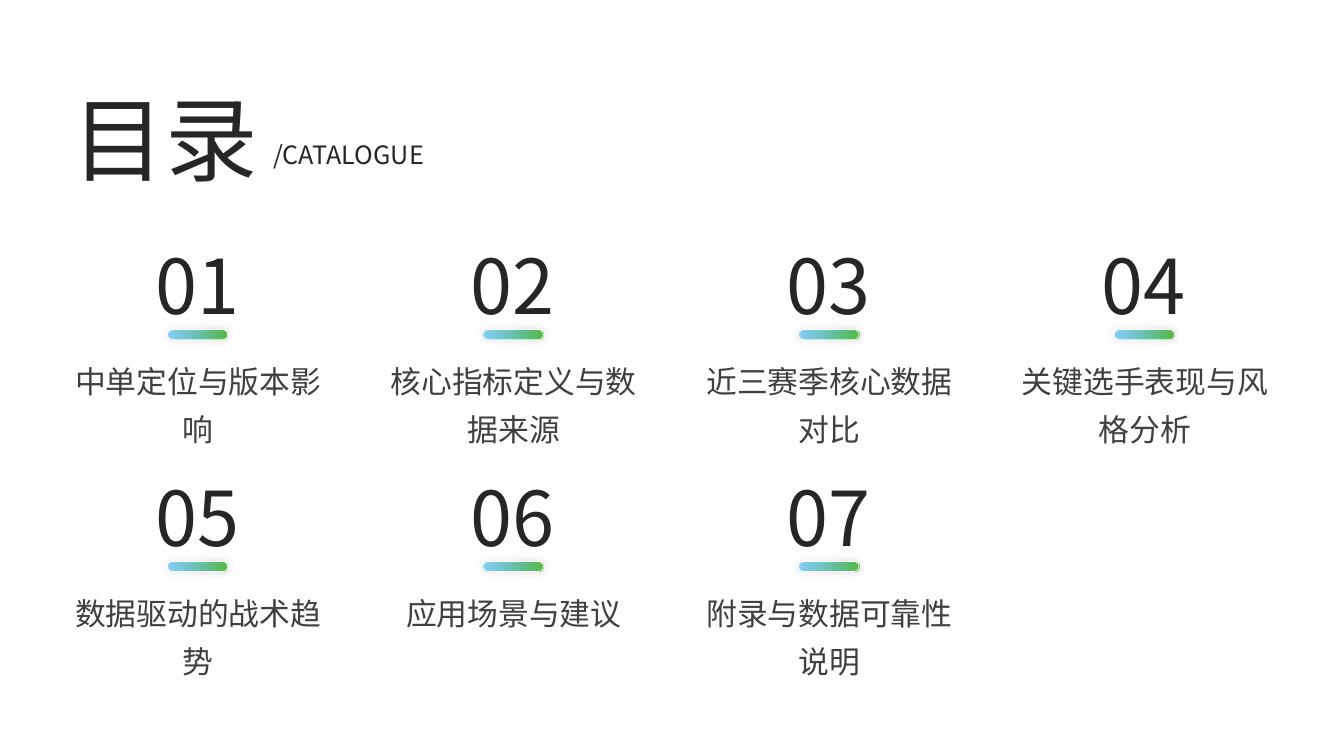
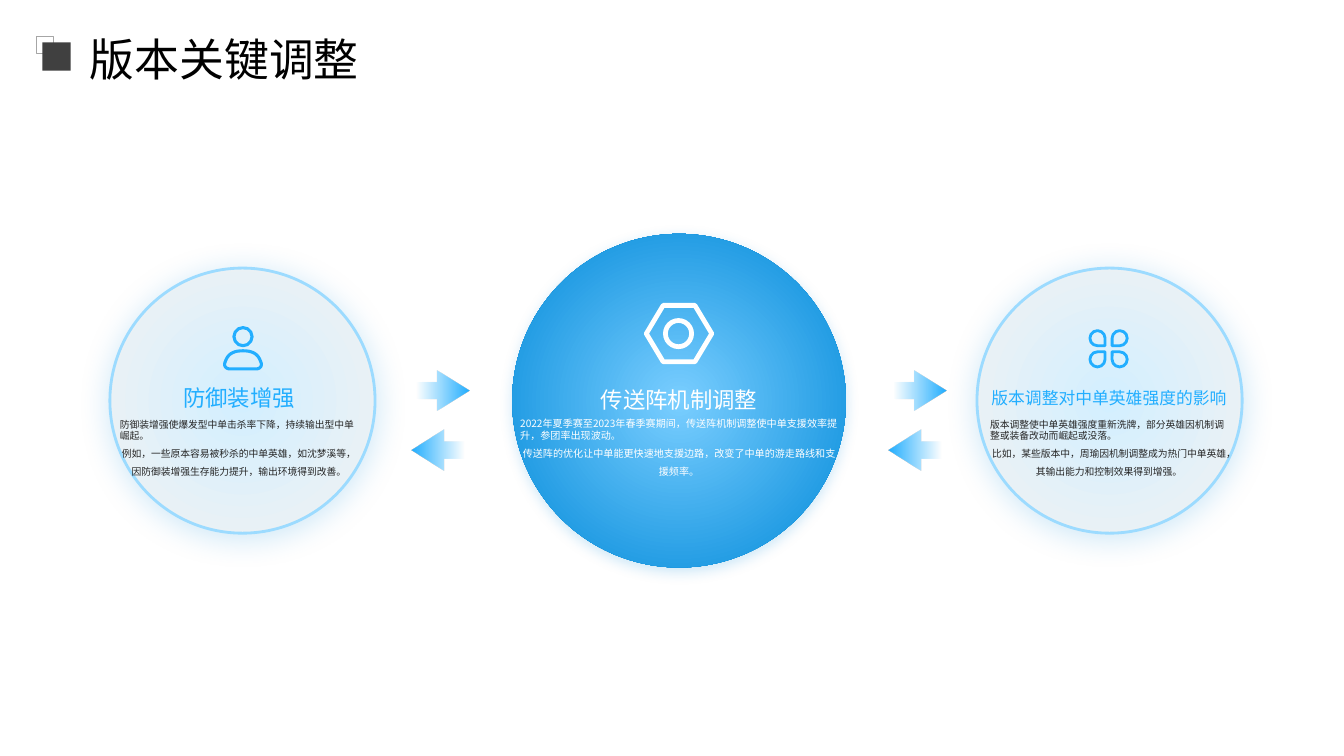
"""Build a contents slide and a slide on the key version changes."""
from dataclasses import dataclass
from typing import Any, Optional

from pptx import Presentation
from pptx import oxml
from pptx import util as u
from pptx.dml.color import RGBColor
from pptx.enum import shapes, text
from pptx.oxml import ns

FONT = "Noto Sans CJK SC"
COLORS = {
    "ink": "262626", "gray": "404040", "frame": "A6A6A6", "black": "000000",
    "white": "FFFFFF", "blue": "22AEFF", "green": "4EB830", "sky": "7ACEFF",
    "deep": "0089D9", "pale": "D3EFFF", "mist": "F2F2F2", "ring": "9CDBFF",
}
LEFT, CENTER = text.PP_ALIGN.LEFT, text.PP_ALIGN.CENTER
TOP, MIDDLE = text.MSO_ANCHOR.TOP, text.MSO_ANCHOR.MIDDLE
KIND = shapes.MSO_SHAPE


@dataclass(frozen=True)
class Box:
    left: float
    top: float
    width: float
    height: float

    def lengths(self) -> list[int]:
        return [u.Inches(v) for v in (self.left, self.top, self.width, self.height)]


@dataclass(frozen=True)
class Line:
    content: str
    size: float
    color: str
    align: Any = LEFT
    spacing: float = 1.0


@dataclass(frozen=True)
class Stop:
    position: int
    color: str
    alpha: int = 100


@dataclass(frozen=True)
class Shadow:
    color: str
    alpha: int
    blur: float
    distance: float = 0
    angle: int = 0


@dataclass(frozen=True)
class Circle:
    box: Box
    stops: tuple[Stop, ...]
    shadow: Shadow
    ring: Optional[str]
    heading_box: Box
    heading: Line
    body_box: Box
    body: tuple[str, str]
    body_size: float
    body_color: str


CATALOGUE = [
    "中单定位与版本影响", "核心指标定义与数据来源", "近三赛季核心数据对比",
    "关键选手表现与风格分析", "数据驱动的战术趋势", "应用场景与建议", "附录与数据可靠性说明",
]
COLUMNS, COLUMN_STEP, ROW_STEP = 4, 3.13, 2.3
PILL_STOPS = (Stop(0, "blue", 50), Stop(100, "green", 95))
ARROW_STOPS = (Stop(0, "blue"), Stop(91, "blue", 0))
SIDE_STOPS = (Stop(0, "pale"), Stop(100, "mist"))
SIDE_SHADOW = Shadow("deep", 20, 23, 3, 90)
CIRCLES = [
    Circle(
        Box(5.08, 2.32, 3.31, 3.31), (Stop(0, "sky"), Stop(100, "deep")),
        Shadow("deep", 20, 10, 3, 90), None,
        Box(5.16, 3.66, 3.15, 0.47), Line("传送阵机制调整", 16, "white", CENTER, 1.5),
        Box(5.16, 4.14, 3.15, 0.62),
        ("2022年夏季赛至2023年春季赛期间，传送阵机制调整使中单支援效率提升，参团率出现波动。",
         "传送阵的优化让中单能更快速地支援边路，改变了中单的游走路线和支援频率。"),
        7.2, "white"),
    Circle(
        Box(1.09, 2.66, 2.63, 2.63), SIDE_STOPS, SIDE_SHADOW, "ring",
        Box(1.19, 3.72, 2.36, 0.45), Line("防御装增强", 16, "blue", CENTER),
        Box(1.19, 4.15, 2.36, 0.6),
        ("防御装增强使爆发型中单击杀率下降，持续输出型中单崛起。",
         "例如，一些原本容易被秒杀的中单英雄，如沈梦溪等，因防御装增强生存能力提升，输出环境得到改善。"),
        7, "ink"),
    Circle(
        Box(9.69, 2.66, 2.63, 2.63), SIDE_STOPS, SIDE_SHADOW, "ring",
        Box(9.82, 3.72, 2.36, 0.45), Line("版本调整对中单英雄强度的影响", 12, "blue", CENTER),
        Box(9.82, 4.15, 2.36, 0.6),
        ("版本调整使中单英雄强度重新洗牌，部分英雄因机制调整或装备改动而崛起或没落。",
         "比如，某些版本中，周瑜因机制调整成为热门中单英雄，其输出能力和控制效果得到增强。"),
        7, "ink"),
]


def rgb(name: str) -> RGBColor:
    return RGBColor.from_string(COLORS[name])


def color_xml(name: str, alpha: int) -> str:
    return f'<a:srgbClr val="{COLORS[name]}"><a:alpha val="{alpha * 1000}"/></a:srgbClr>'


def write_lines(shape: Any, lines: list[Line], anchor: Any = TOP) -> None:
    frame = shape.text_frame
    frame.auto_size = text.MSO_AUTO_SIZE.NONE
    frame.word_wrap = True
    frame.vertical_anchor = anchor
    frame.margin_left = frame.margin_right = frame.margin_top = frame.margin_bottom = 0
    for index, line in enumerate(lines):
        paragraph = frame.add_paragraph() if index else frame.paragraphs[0]
        paragraph.alignment = line.align
        paragraph.line_spacing = line.spacing
        run = paragraph.add_run()
        run.text = line.content
        run.font.name = FONT
        run.font.size = u.Pt(line.size)
        run.font.color.rgb = rgb(line.color)
        east_asian = oxml.parse_xml(f'<a:ea {ns.nsdecls("a")} typeface="{FONT}"/>')
        run.font._element.find(ns.qn("a:latin")).addnext(east_asian)


def add_text(slide: Any, box: Box, lines: list[Line], anchor: Any = TOP) -> None:
    write_lines(slide.shapes.add_textbox(*box.lengths()), lines, anchor)


def set_title(slide: Any, box: Box, line: Line, anchor: Any = TOP) -> None:
    title = slide.shapes.title
    title.left, title.top, title.width, title.height = box.lengths()
    write_lines(title, [line], anchor)


def style_shape(shape: Any, fill: Optional[str] = None, line: Optional[str] = None,
                weight: float = 1) -> None:
    shape.shadow.inherit = False
    if fill:
        shape.fill.solid()
        shape.fill.fore_color.rgb = rgb(fill)
    else:
        shape.fill.background()
    if line:
        shape.line.color.rgb = rgb(line)
        shape.line.width = u.Pt(weight)
    else:
        shape.line.fill.background()


def add_shape(slide: Any, kind: Any, box: Box, fill: Optional[str] = None,
              line: Optional[str] = None, weight: float = 1) -> Any:
    shape = slide.shapes.add_shape(kind, *box.lengths())
    style_shape(shape, fill, line, weight)
    return shape


def set_gradient(shape: Any, stops: tuple[Stop, ...], angle: Optional[int] = None) -> None:
    if angle is None:
        direction = ('<a:path path="circle"><a:fillToRect l="50000" t="50000" '
                     'r="50000" b="50000"/></a:path>')
    else:
        direction = f'<a:lin ang="{angle * 60000}" scaled="0"/>'
    marks = "".join(f'<a:gs pos="{stop.position * 1000}">{color_xml(stop.color, stop.alpha)}</a:gs>'
                    for stop in stops)
    properties = shape._element.spPr
    properties.replace(properties.find(ns.qn("a:noFill")), oxml.parse_xml(
        f'<a:gradFill {ns.nsdecls("a")} rotWithShape="1"><a:gsLst>{marks}</a:gsLst>'
        f'{direction}</a:gradFill>'))


def set_shadow(shape: Any, shadow: Shadow) -> None:
    effects = shape._element.spPr.find(ns.qn("a:effectLst"))
    effects.append(oxml.parse_xml(
        f'<a:outerShdw {ns.nsdecls("a")} blurRad="{u.Pt(shadow.blur)}" '
        f'dist="{u.Pt(shadow.distance)}" dir="{shadow.angle * 60000}" algn="ctr" '
        f'rotWithShape="0">{color_xml(shadow.color, shadow.alpha)}</a:outerShdw>'))


def curve(points: list[tuple[float, float]], steps: int = 12) -> list[tuple[float, float]]:
    result = []
    for step in range(steps + 1):
        t = step / steps
        weights = ((1 - t) ** 3, 3 * t * (1 - t) ** 2, 3 * t * t * (1 - t), t ** 3)
        result.append((sum(w * p[0] for w, p in zip(weights, points)),
                       sum(w * p[1] for w, p in zip(weights, points))))
    return result


def draw_nut(slide: Any) -> None:
    hexagon = add_shape(slide, KIND.HEXAGON, Box(6.41, 3.03, 0.65, 0.56), None, "white", 3.4)
    hexagon.adjustments[0] = 0.3
    add_shape(slide, KIND.OVAL, Box(6.6, 3.18, 0.26, 0.26), None, "white", 3.4)


def draw_person(slide: Any) -> None:
    middle = 2.41
    add_shape(slide, KIND.OVAL, Box(middle - 0.09, 3.25, 0.18, 0.18), None, "blue", 2.2)
    half = (curve([(0, 3.48), (0.13, 3.48), (0.16, 3.54), (0.18, 3.6)])
            + curve([(0.18, 3.6), (0.19, 3.63), (0.17, 3.66), (0.13, 3.66)]))
    outline = half + [(-x, y) for x, y in reversed(half)]
    points = [(u.Inches(middle + x), u.Inches(y)) for x, y in outline]
    builder = slide.shapes.build_freeform(*points[0])
    builder.add_line_segments(points[1:], close=True)
    style_shape(builder.convert_to_shape(), None, "blue", 2.2)


def draw_petals(slide: Any) -> None:
    for index, rotation in enumerate((90, 180, 0, 270)):
        row, column = divmod(index, 2)
        petal = add_shape(slide, KIND.TEAR, Box(10.81 + 0.22 * column, 3.28 + 0.21 * row, 0.15, 0.15),
                          None, "blue", 2)
        petal.rotation = rotation


def build_catalogue(presentation: Any) -> None:
    slide = presentation.slides.add_slide(presentation.slide_layouts[5])
    set_title(slide, Box(0.72, 0.7, 1.98, 1.11), Line("目录", 66, "ink", LEFT, 1.1))
    add_text(slide, Box(2.71, 1.37, 3.36, 0.3), [Line("/CATALOGUE", 18, "ink", LEFT, 1.1)], MIDDLE)
    for index, topic in enumerate(CATALOGUE):
        row, column = divmod(index, COLUMNS)
        left, top = 0.66 + column * COLUMN_STEP, 2.37 + row * ROW_STEP
        add_text(slide, Box(left + 0.51, top, 1.57, 0.84),
                 [Line(f"{index + 1:02d}", 54, "ink", CENTER)])
        pill = add_shape(slide, KIND.ROUNDED_RECTANGLE, Box(left + 1, top + 0.9, 0.6, 0.1),
                         None, "white", 0.5)
        pill.adjustments[0] = 0.5
        set_gradient(pill, PILL_STOPS, 0)
        set_shadow(pill, Shadow("gray", 20, 6))
        add_text(slide, Box(left, top + 1.12, 2.61, 1.1), [Line(topic, 22, "gray", CENTER, 1.3)])


def build_changes(presentation: Any) -> None:
    slide = presentation.slides.add_slide(presentation.slide_layouts[5])
    set_title(slide, Box(0.89, 0.29, 11.9, 0.47), Line("版本关键调整", 32, "black", LEFT, 1.2), MIDDLE)
    add_shape(slide, KIND.RECTANGLE, Box(0.36, 0.36, 0.17, 0.17), None, "frame")
    add_shape(slide, KIND.RECTANGLE, Box(0.42, 0.42, 0.28, 0.28), "gray")
    for circle in CIRCLES:
        disc = add_shape(slide, KIND.OVAL, circle.box, None, circle.ring, 2)
        set_gradient(disc, circle.stops)
        set_shadow(disc, circle.shadow)
        add_text(slide, circle.heading_box, [circle.heading], MIDDLE)
        summary, example = circle.body
        add_text(slide, circle.body_box, [
            Line(summary, circle.body_size, circle.body_color),
            Line(example, circle.body_size, circle.body_color, CENTER, 1.5)])
    draw_nut(slide)
    draw_person(slide)
    draw_petals(slide)
    for left in (4.17, 8.9):
        for top, rotation in ((3.59, 90), (4.18, 270)):
            arrow = add_shape(slide, KIND.UP_ARROW, Box(left, top, 0.4, 0.57))
            arrow.adjustments[0], arrow.adjustments[1] = 0.42, 0.8
            arrow.rotation = rotation
            set_gradient(arrow, ARROW_STOPS, 90)


def main() -> None:
    presentation = Presentation()
    presentation.slide_width = u.Inches(13.33)
    presentation.slide_height = u.Inches(7.5)
    build_catalogue(presentation)
    build_changes(presentation)
    presentation.save("out.pptx")


if __name__ == "__main__":
    main()
